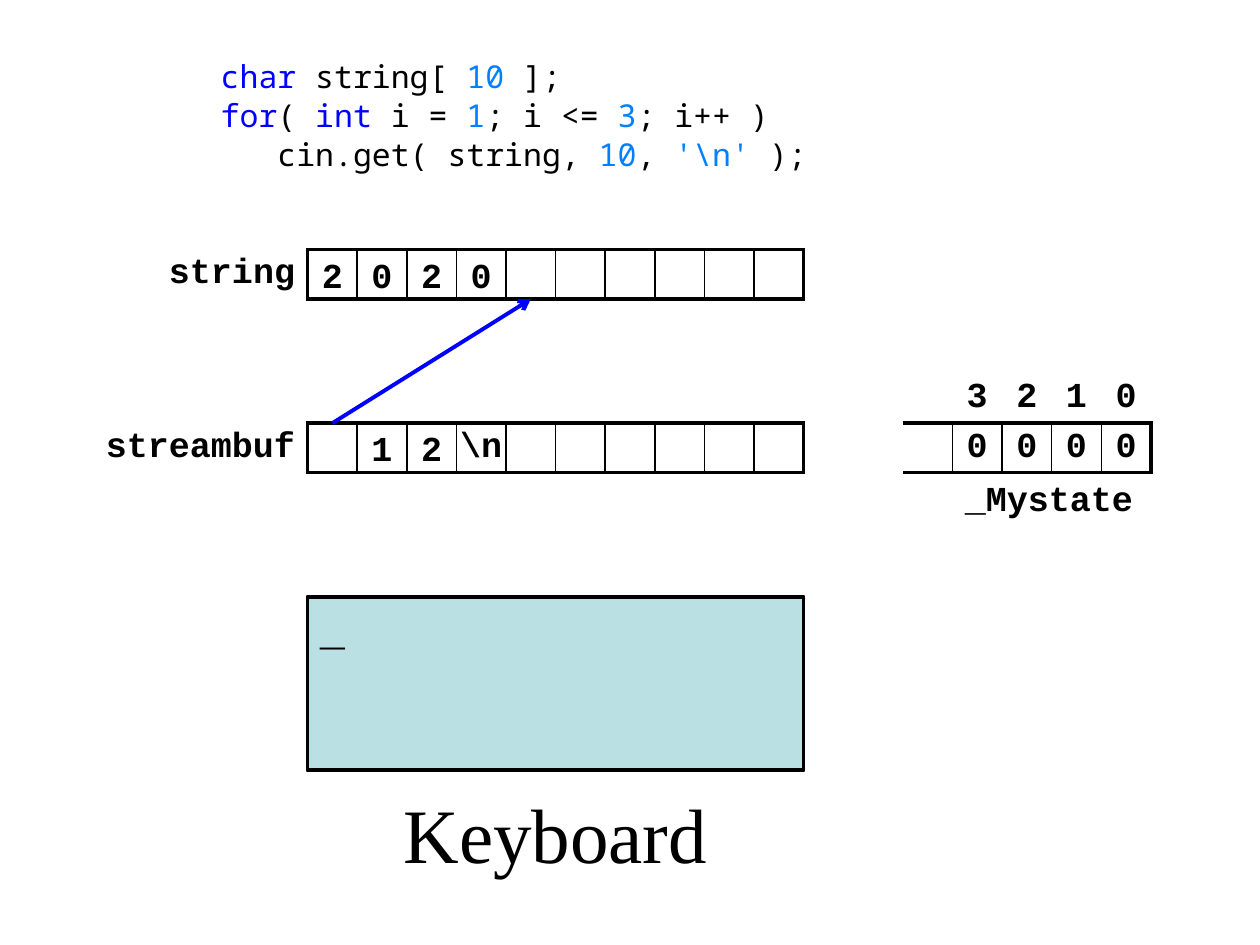
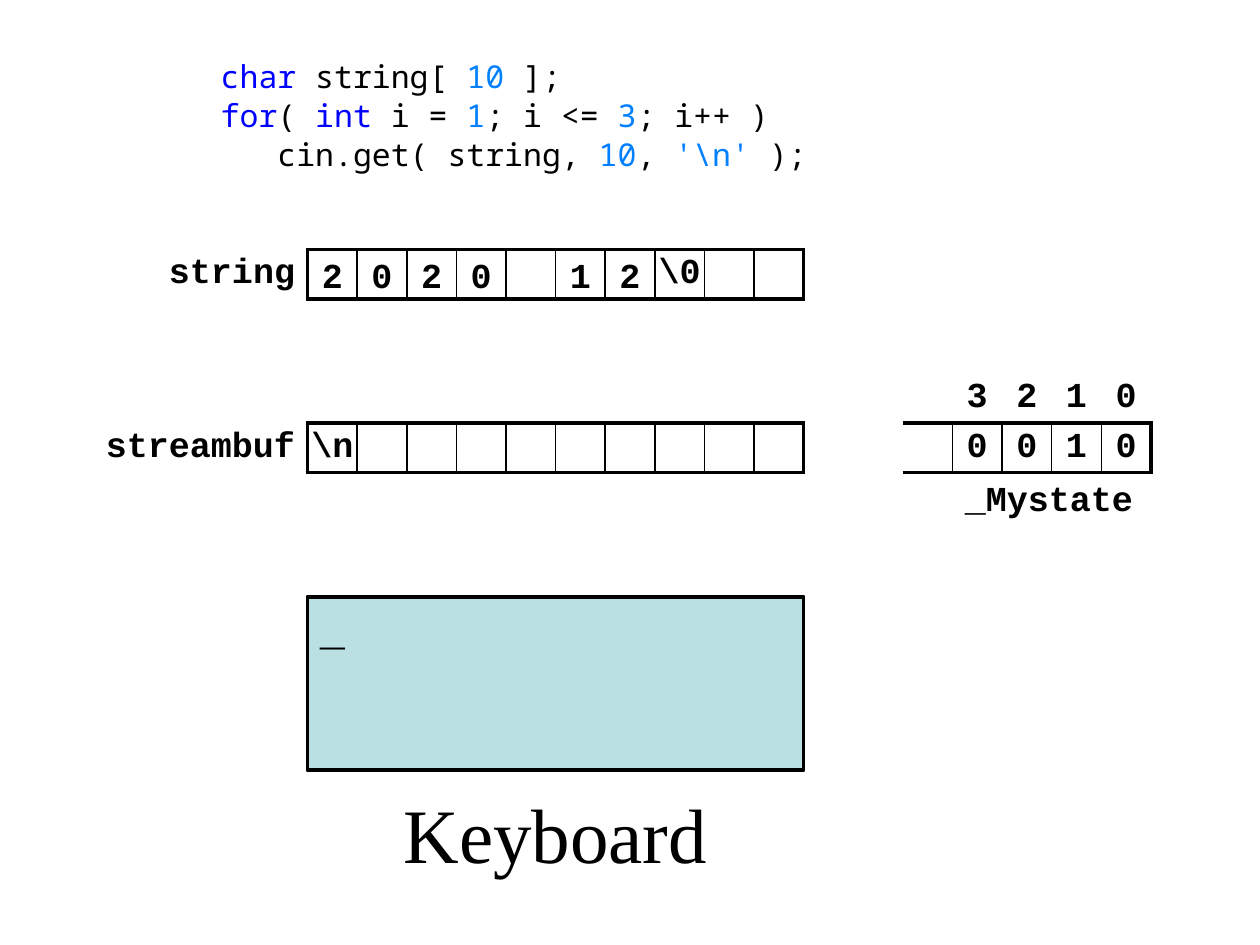
import pptx
import pptx.dml.color
import pptx.enum.shapes
import pptx.enum.text
import pptx.oxml.ns
import pptx.util
from lxml import etree

Cm, Pt = pptx.util.Cm, pptx.util.Pt
qn = pptx.oxml.ns.qn
ALIGN = pptx.enum.text.PP_ALIGN
ANCHOR = pptx.enum.text.MSO_ANCHOR

# Content
CODE = [
    [("char", "key"), (" string[ ", "ink"), ("10", "num"), (" ];", "ink")],
    [("for", "key"), ("( ", "ink"), ("int", "key"), (" i = ", "ink"), ("1", "num"),
     ("; i <= ", "ink"), ("3", "num"), ("; i++ )", "ink")],
    [("   cin.get( string, ", "ink"), ("10", "num"), (", ", "ink"),
     ("'\\n'", "num"), (" );", "ink")],
]
STEPS = [
    {"string": ["2", "0", "2", "0"],
     "buffer": ["", "1", "2", "\\n"],
     "state": "0000", "arrow": (0, 4)},
    {"string": ["2", "0", "2", "0", "", "1", "2", "\\0"],
     "buffer": ["\\n"],
     "state": "0010", "arrow": None},
]
BITS = "3210"

# Theme: colours, type styles (face, size, bold) and line widths
THEME = {
    "color": {"ink": "000000", "key": "0000FF", "num": "0080FF", "panel": "BBE0E3"},
    "type": {"code": ("Noto Sans Mono", 18, False), "cell": ("Courier New", 20, True),
             "prompt": ("Courier New", 24, True), "label": ("Times New Roman", 44, False)},
    "line": {"outer": 2.25, "inner": 1},
}

# Layout in cm
CELL, SLOTS = 1, 10
LEFT = 6.2
STRING_TOP, BUFFER_TOP = 5.03, 8.53
STATE_LEFT = 18.2
PANEL_TOP, PANEL_HIGH = 12.03, 3.5
INSET = (0.25, 0.13, 0.25, 0.13)


def color(name):
    return pptx.dml.color.RGBColor.from_string(THEME["color"][name])


def write(para, runs, style, align=ALIGN.LEFT):
    face, size, bold = THEME["type"][style]
    para.alignment = align
    for text, tint in runs:
        run = para.add_run()
        run.text = text
        font = run.font
        font.name, font.size, font.bold = face, Pt(size), bold
        font.color.rgb = color(tint)


def setup(frame, inset=INSET, anchor=ANCHOR.MIDDLE, wrap=True):
    frame.margin_left, frame.margin_top, frame.margin_right, frame.margin_bottom = map(Cm, inset)
    frame.vertical_anchor, frame.word_wrap = anchor, wrap
    frame.auto_size = pptx.enum.text.MSO_AUTO_SIZE.NONE


def label(slide, area, text, style="cell", align=ALIGN.LEFT, **frame):
    box = slide.shapes.add_textbox(*map(Cm, area))
    setup(box.text_frame, **frame)
    write(box.text_frame.paragraphs[0], [(text, "ink")], style, align)
    return box


def border(cell, edges):
    """Draw left, right, top and bottom edges; None leaves an edge bare."""
    props = cell._tc.get_or_add_tcPr()
    for side, kind in zip("LRTB", edges):
        line = etree.SubElement(props, qn("a:ln" + side))
        if kind:
            line.set("w", str(Pt(THEME["line"][kind])))
            fill = etree.SubElement(line, qn("a:solidFill"))
            etree.SubElement(fill, qn("a:srgbClr")).set("val", THEME["color"]["ink"])
        else:
            etree.SubElement(line, qn("a:noFill"))


def edges(row, col, rows, cols, first):
    """The last row is framed from column first on."""
    framed = col >= first
    if row < rows - 1:
        return None, None, None, "outer" if framed else None
    if not framed:
        return None, "outer", None, None
    left = None if col == 0 else "outer" if col == first else "inner"
    right = "outer" if col == cols - 1 else "inner"
    return left, right, "outer", "outer"


def grid(slide, left, top, rows, head=0):
    """Row of memory cells, with a name column if head has a width."""
    cols, first = len(rows[0]), 1 if head else 0
    widths = [head] * first + [CELL] * (cols - first)
    area = left, top, sum(widths), CELL * len(rows)
    table = slide.shapes.add_table(len(rows), cols, *map(Cm, area)).table
    table.first_row = table.horz_banding = False
    for col, width in zip(table.columns, widths):
        col.width = Cm(width)
    for r, row in enumerate(rows):
        for c, text in enumerate(row):
            cell, named = table.cell(r, c), c < first
            border(cell, edges(r, c, len(rows), cols, first))
            cell.fill.background()
            cell.margin_left = cell.margin_top = cell.margin_bottom = 0
            cell.margin_right = Cm(0.25 if named else 0)
            cell.vertical_anchor = ANCHOR.MIDDLE
            if text:
                write(cell.text_frame.paragraphs[0], [(text, "ink")], "cell",
                      ALIGN.RIGHT if named else ALIGN.CENTER)


def buffer(slide, name, top, head, items, blanks=0):
    """Escapes sit in the table, single characters in boxes over it."""
    items = items + [""] * (SLOTS - len(items))
    row = [name] + [text if len(text) > 1 else "" for text in items]
    rows = [[""] * len(row)] * blanks + [row]
    grid(slide, LEFT - head, top - blanks * CELL, rows, head)
    for i, text in enumerate(items):
        if len(text) == 1:
            label(slide, (LEFT + i * CELL, top, CELL, CELL), text, align=ALIGN.CENTER)


def listing(slide):
    body = slide.placeholders[1]
    body.left, body.top, body.width, body.height = map(Cm, (4.2, 1.02, 12.5, 3))
    frame = body.text_frame
    setup(frame, inset=(0.25, 0.13, 0.2, 0.13), anchor=ANCHOR.TOP)
    for i, runs in enumerate(CODE):
        para = frame.add_paragraph() if i else frame.paragraphs[0]
        props = para._p.get_or_add_pPr()
        props.set("marL", "0")
        props.set("indent", "0")
        etree.SubElement(props, qn("a:buNone"))
        para.space_before = Pt(0.6 if i else 0)
        write(para, runs, "code")


def panel(slide):
    area = LEFT, PANEL_TOP, SLOTS * CELL, PANEL_HIGH
    box = slide.shapes.add_shape(pptx.enum.shapes.MSO_SHAPE.RECTANGLE, *map(Cm, area))
    box.shadow.inherit = False
    box.fill.solid()
    box.fill.fore_color.rgb = color("panel")
    box.line.color.rgb, box.line.width = color("ink"), Pt(THEME["line"]["outer"])
    setup(box.text_frame, anchor=ANCHOR.TOP, wrap=False)
    write(box.text_frame.paragraphs[0], [("_", "ink")], "prompt")


def arrow(slide, start, end):
    """Join a buffer slot to a string slot."""
    points = (LEFT + (start + 0.5) * CELL, BUFFER_TOP,
              LEFT + (end + 0.5) * CELL, STRING_TOP + CELL)
    kind = pptx.enum.shapes.MSO_CONNECTOR.STRAIGHT
    link = slide.shapes.add_connector(kind, *map(Cm, points))
    link.line.color.rgb, link.line.width = color("key"), Pt(THEME["line"]["outer"])
    etree.SubElement(link.line._get_or_add_ln(), qn("a:tailEnd")).set("type", "arrow")
    etree.SubElement(link.element.spPr, qn("a:effectLst"))


def build(deck, layout, step):
    slide = deck.slides.add_slide(layout)
    title = slide.shapes.title.element
    title.getparent().remove(title)
    listing(slide)
    buffer(slide, "streambuf", BUFFER_TOP, 5.5, step["buffer"], blanks=1)
    buffer(slide, "string", STRING_TOP, 3, step["string"])
    panel(slide)
    if step["arrow"]:
        arrow(slide, *step["arrow"])
    label(slide, (STATE_LEFT + CELL, BUFFER_TOP + CELL, 4, CELL), "_Mystate",
          inset=(0.25, 0, 0.25, 0))
    grid(slide, STATE_LEFT, BUFFER_TOP - CELL, [["", *BITS], ["", *step["state"]]])
    return slide


def main():
    deck = pptx.Presentation()
    deck.slide_width, deck.slide_height = Cm(25.4), Cm(19.05)
    layout = deck.slide_layouts[1]
    slides = [build(deck, layout, step) for step in STEPS]
    # The panel's caption is shared through the layout
    area = 7.7, PANEL_TOP + PANEL_HIGH, 7, 2.5
    name = label(slides[0], area, "Keyboard", "label", ALIGN.CENTER, wrap=False)
    layout.shapes.element.append(name.element)
    deck.save("out.pptx")


if __name__ == "__main__":
    main()
